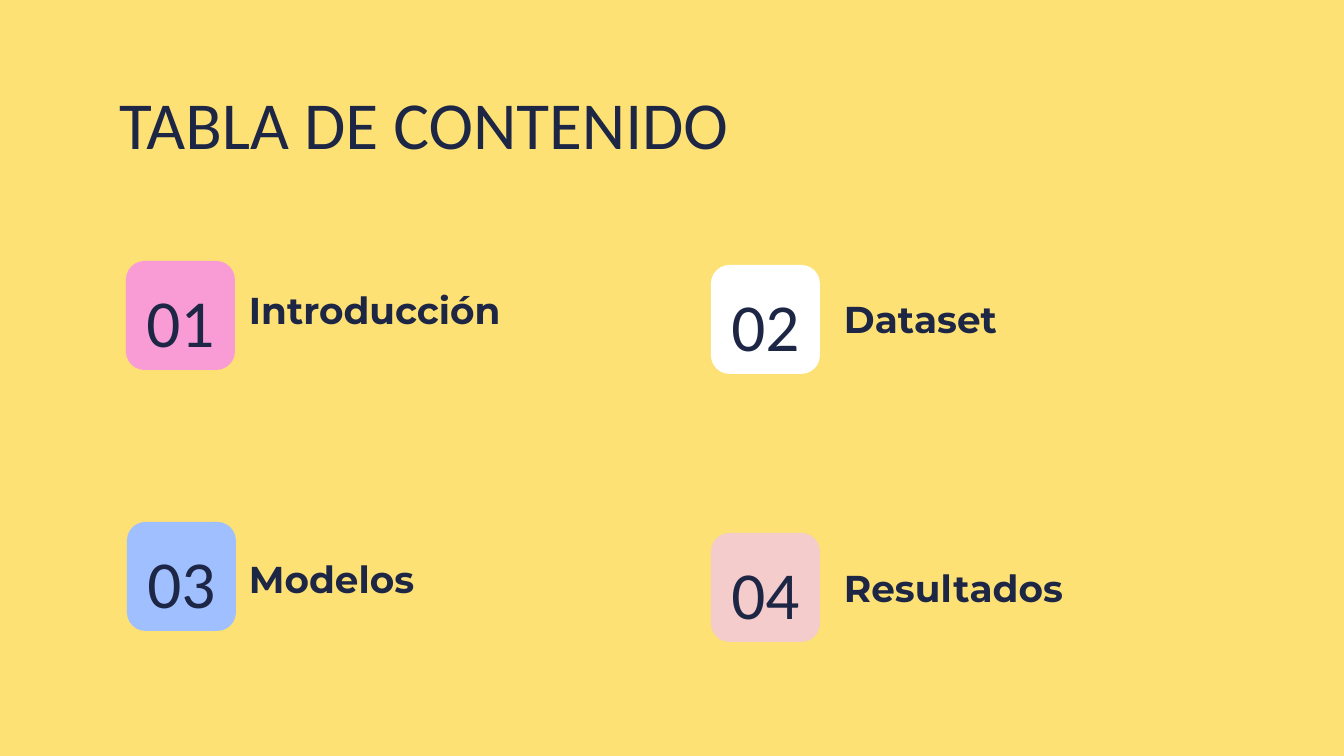
from dataclasses import dataclass

from pptx import Presentation
from pptx.dml.color import RGBColor
from pptx.enum.shapes import MSO_SHAPE
from pptx.enum.text import MSO_ANCHOR, MSO_AUTO_SIZE, PP_ALIGN
from pptx.util import Pt

EMU_PER_PX = 914400 / 134.4
TITLE_ONLY = 5
ROUNDED = MSO_SHAPE.ROUNDED_RECTANGLE
TOP, MIDDLE = MSO_ANCHOR.TOP, MSO_ANCHOR.MIDDLE
LEFT, CENTER = PP_ALIGN.LEFT, PP_ALIGN.CENTER
NO_AUTOSIZE = MSO_AUTO_SIZE.NONE


@dataclass(frozen=True)
class Theme:
    background: str = "FDE174"
    ink: str = "1D2745"
    pink: str = "F99BD5"
    white: str = "FFFFFF"
    blue: str = "A0BFFF"
    blush: str = "F4CCCC"
    heading_font: str = "Calibri"
    label_font: str = "Montserrat"
    heading_size: int = 36
    label_size: int = 20


THEME = Theme()
SLIDE_SIZE = (1344, 756)
TITLE_BOX = (106, 69, 1133, 90)
TILE_SIZE = 109
INSET = 13
ENTRIES = [
    ("01", "Introducción", THEME.pink, (126, 261), (236, 274)),
    ("02", "Dataset", THEME.white, (711, 265), (831, 283)),
    ("03", "Modelos", THEME.blue, (127, 522), (236, 543)),
    ("04", "Resultados", THEME.blush, (711, 533), (831, 552)),
]


def px(value):
    return round(value * EMU_PER_PX)


def paint(fill, color):
    fill.solid()
    fill.fore_color.rgb = RGBColor.from_string(color)


def place(shape, box):
    shape.left, shape.top, shape.width, shape.height = map(px, box)


def write(shape, text, font, size, bold=False, align=LEFT, anchor=TOP):
    frame = shape.text_frame
    frame.text = text
    frame.word_wrap = True
    frame.auto_size = NO_AUTOSIZE
    frame.vertical_anchor = anchor
    frame.margin_left = frame.margin_right = px(INSET)
    frame.margin_top = frame.margin_bottom = px(INSET)
    paragraph = frame.paragraphs[0]
    paragraph.alignment = align
    run = paragraph.runs[0]
    run.font.name = font
    run.font.size = Pt(size)
    run.font.bold = bold
    run.font.color.rgb = RGBColor.from_string(THEME.ink)


def add_text(slide, box, text, font, size, **style):
    shape = slide.shapes.add_textbox(*map(px, box))
    write(shape, text, font, size, **style)


def add_title(slide, box):
    title = slide.shapes.title
    place(title, box)
    write(title, "TABLA DE CONTENIDO", THEME.heading_font, THEME.heading_size)


def add_number_tile(slide, box, number, color):
    left, top, width, height = box
    tile = slide.shapes.add_shape(ROUNDED, *map(px, box))
    tile.shadow.inherit = False
    tile.adjustments[0] = 0.17
    paint(tile.fill, color)
    tile.line.fill.background()
    add_text(slide, (left - 11, top + 8, width + 22, height - 6), number,
             THEME.heading_font, THEME.heading_size, align=CENTER, anchor=MIDDLE)


def add_entry(slide, number, label, color, tile_origin, label_origin):
    add_number_tile(slide, (*tile_origin, TILE_SIZE, TILE_SIZE), number, color)
    add_text(slide, (*label_origin, 425, 72), label,
             THEME.label_font, THEME.label_size, bold=True)


def main():
    presentation = Presentation()
    presentation.slide_width, presentation.slide_height = map(px, SLIDE_SIZE)
    slide = presentation.slides.add_slide(presentation.slide_layouts[TITLE_ONLY])
    paint(slide.background.fill, THEME.background)
    add_title(slide, TITLE_BOX)
    for entry in ENTRIES:
        add_entry(slide, *entry)
    presentation.save("out.pptx")


if __name__ == "__main__":
    main()
